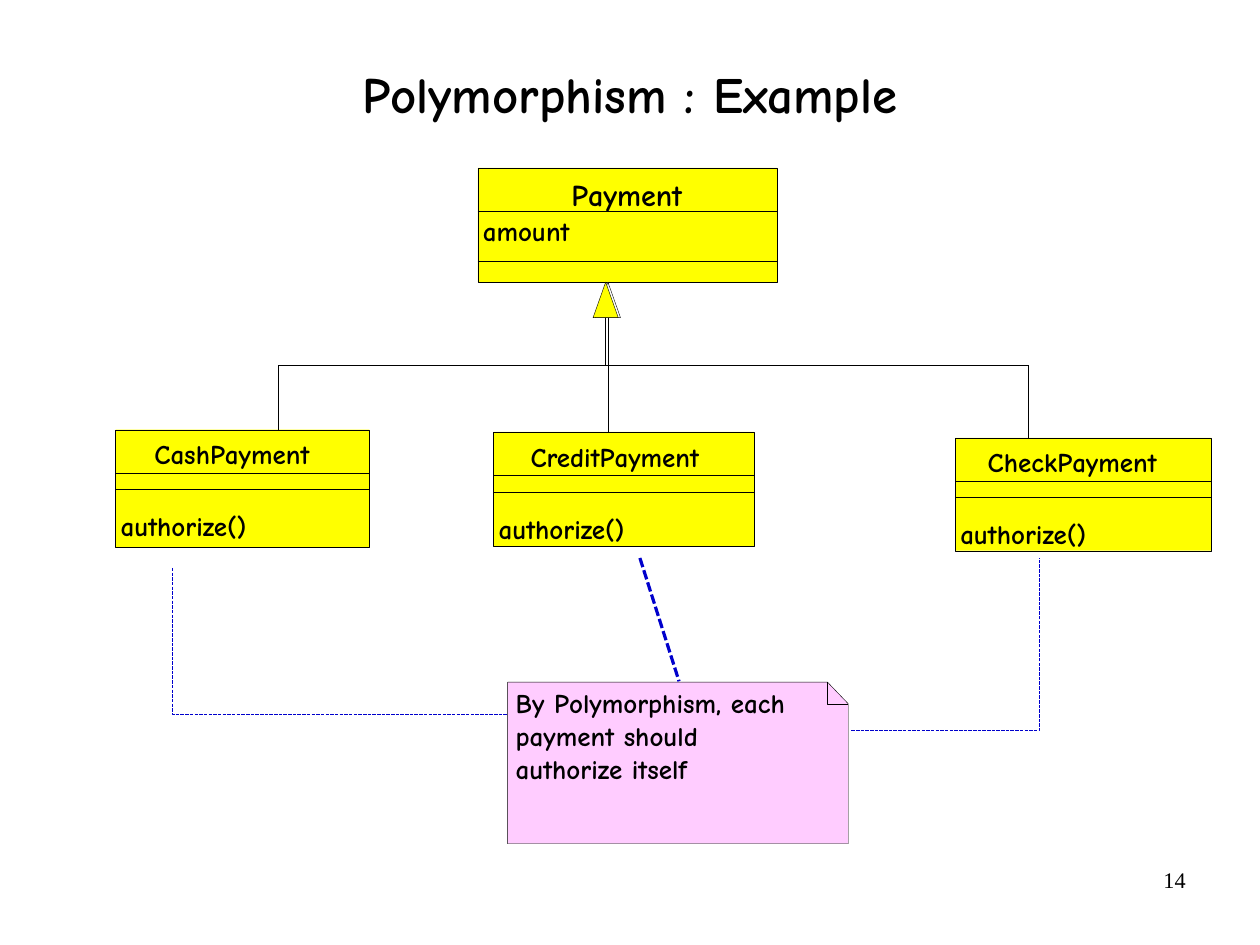
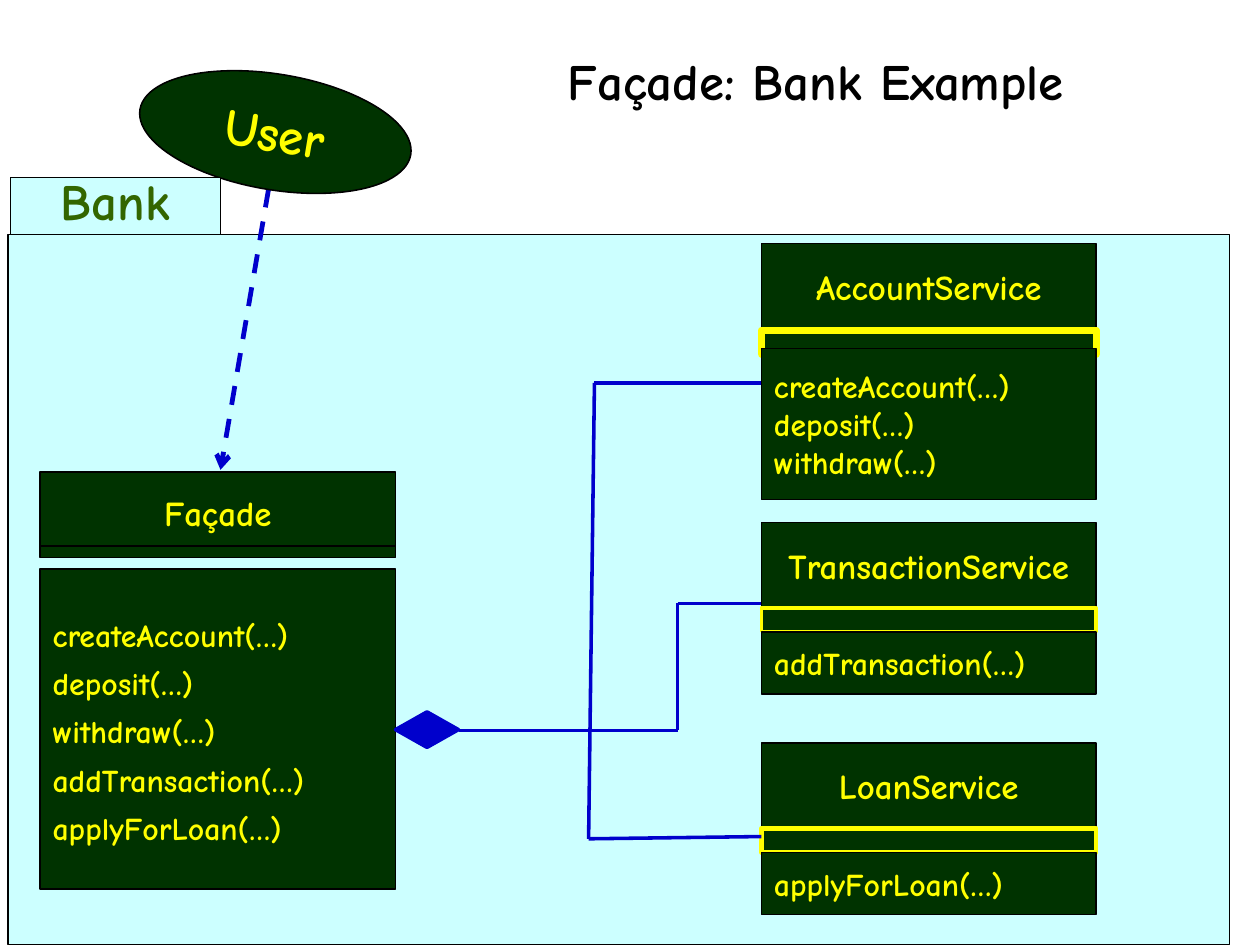
"""Build two UML slides: a polymorphism example and a façade example."""
import itertools
from dataclasses import dataclass

import pptx
import pptx.dml.color
import pptx.enum.dml
import pptx.enum.shapes
import pptx.enum.text
import pptx.oxml.ns
import pptx.util
from lxml import etree

Cm = pptx.util.Cm
Pt = pptx.util.Pt
Shapes = pptx.enum.shapes.MSO_SHAPE
Align = pptx.enum.text.PP_ALIGN
Anchor = pptx.enum.text.MSO_ANCHOR
Dash = pptx.enum.dml.MSO_LINE
Point = tuple[float, float]
Area = tuple[float, float, float, float]

COLORS = {
    "black": "000000",
    "white": "FFFFFF",
    "yellow": "FFFF00",
    "pink": "FFCCFF",
    "cyan": "CCFFFF",
    "blue": "0000CC",
    "dark": "003300",
    "green": "336600",
}
FONT = "Comic Neue"
NUMBER_FONT = "Times New Roman"
HAIRLINE = 0.25
LINK_WIDTH = 2.25
SHAPE_INSETS = (0.28, 0.15)
NO_INSETS = (0, 0)


@dataclass
class TextStyle:
    size: float
    color: str = "black"
    font: str = FONT
    bold: bool = True
    align: Align = Align.LEFT
    anchor: Anchor = Anchor.MIDDLE
    spacing: float | pptx.util.Length | None = None
    gap: float = 0


@dataclass
class UmlClass:
    area: Area
    name: str
    name_indent: float
    member: str
    member_top: float
    second_divider: float
    name_size: float = 17


@dataclass
class Service:
    area: Area
    name: str
    members: list[str]
    band_top: float
    band_height: float
    body_top: float
    body_height: float
    band_color: str = "yellow"
    band_width: float = 1
    spacing: float | None = None
    gap: float = 0


TITLE = TextStyle(32, align=Align.CENTER, spacing=0.88)
LABEL = TextStyle(17, anchor=Anchor.TOP)

UML_CLASSES = [
    UmlClass((10.97, 9.6, 5.79, 2.54), "CreditPayment", 0.82, "authorize()", 1.78, 1.33),
    UmlClass((21.23, 9.73, 5.69, 2.51), "CheckPayment", 0.72, "authorize()", 1.78, 1.33),
    UmlClass((2.57, 9.55, 5.64, 2.62), "CashPayment", 0.86, "authorize()", 1.78, 1.33),
    UmlClass((10.62, 3.73, 6.65, 2.54), "Payment", 2.08, "amount", 1.04, 2.07, 19),
]

SERVICES = [
    Service((0.89, 10.49, 7.9, 1.8), "Façade",
            ["createAccount(…)", "deposit(…)", "withdraw(…)", "addTransaction(…)", "applyForLoan(…)"],
            1.65, 0.25, 2.16, 7.11, "black", 1, 1.1, 2),
    Service((16.92, 5.41, 7.44, 1.9), "AccountService",
            ["createAccount(…)", "deposit(…)", "withdraw(…)"], 1.93, 0.53, 2.34, 3.35, band_width=4.5),
    Service((16.92, 11.61, 7.44, 1.9), "TransactionService",
            ["addTransaction(…)"], 1.9, 0.53, 2.44, 1.37, band_width=2.25),
    Service((16.92, 16.51, 7.44, 1.9), "LoanService",
            ["applyForLoan(…)"], 1.9, 0.53, 2.44, 1.37, band_width=3),
]


def rgb(name: str) -> pptx.dml.color.RGBColor:
    return pptx.dml.color.RGBColor.from_string(COLORS[name])


def write(shape, lines: list[str], style: TextStyle, insets: Point = SHAPE_INSETS) -> None:
    frame = shape.text_frame
    frame.text = "\n".join(lines)
    frame.word_wrap = True
    frame.auto_size = pptx.enum.text.MSO_AUTO_SIZE.NONE
    frame.vertical_anchor = style.anchor
    frame.margin_left = frame.margin_right = Cm(insets[0])
    frame.margin_top = frame.margin_bottom = Cm(insets[1])
    for index, para in enumerate(frame.paragraphs):
        para.alignment = style.align
        para.line_spacing = style.spacing
        para.space_before = Pt(style.gap if index else 0)
        para.space_after = Pt(style.gap)
        for span in para.runs:
            span.font.name = style.font
            span.font.size = Pt(style.size)
            span.font.bold = style.bold
            span.font.color.rgb = rgb(style.color)


def paint(shape, fill: str | None, line: str, width: float):
    shape.shadow.inherit = False
    if fill:
        shape.fill.solid()
        shape.fill.fore_color.rgb = rgb(fill)
    else:
        shape.fill.background()
    shape.line.color.rgb = rgb(line)
    shape.line.width = Pt(width)
    return shape


def add_box(page, area: Area, fill: str, line: str = "black", width: float = 1, kind: Shapes = Shapes.RECTANGLE):
    return paint(page.shapes.add_shape(kind, *map(Cm, area)), fill, line, width)


def add_label(page, area: Area, lines: list[str], style: TextStyle, insets: Point = NO_INSETS) -> None:
    write(page.shapes.add_textbox(*map(Cm, area)), lines, style, insets)


def add_outline(page, points: list[Point], fill: str | None = None, line: str = "black",
                width: float = HAIRLINE, close: bool = False):
    start, *rest = [(Cm(x), Cm(y)) for x, y in points]
    builder = page.shapes.build_freeform(*start, scale=1.0)
    builder.add_line_segments(rest, close=close)
    return paint(builder.convert_to_shape(), fill, line, width)


def add_lines(page, points: list[Point], color: str = "black", width: float = HAIRLINE,
              dash: Dash | None = None, arrow: bool = False) -> None:
    for start, end in itertools.pairwise(points):
        connector = page.shapes.add_connector(
            pptx.enum.shapes.MSO_CONNECTOR.STRAIGHT, *map(Cm, start + end))
        connector.line.color.rgb = rgb(color)
        connector.line.width = Pt(width)
        if dash:
            connector.line.dash_style = dash
        properties = connector.element.spPr
        if arrow:
            stroke = properties.find(pptx.oxml.ns.qn("a:ln"))
            etree.SubElement(stroke, pptx.oxml.ns.qn("a:tailEnd"), type="arrow")
        etree.SubElement(properties, pptx.oxml.ns.qn("a:effectLst"))


def add_page(deck, title: str, area: Area):
    page = deck.slides.add_slide(deck.slide_layouts[5])
    heading = page.shapes.title
    heading.left, heading.top, heading.width, heading.height = map(Cm, area)
    write(heading, [title], TITLE, NO_INSETS)
    return page


def add_uml_class(page, item: UmlClass) -> None:
    left, top, width, height = item.area
    add_box(page, item.area, "yellow", width=HAIRLINE)
    name_style = TextStyle(item.name_size, anchor=Anchor.TOP)
    add_label(page, (left + item.name_indent, top + 0.18, width - item.name_indent, 0.75),
              [item.name], name_style)
    for offset in (0.97, item.second_divider):
        add_lines(page, [(left, top + offset), (left + width, top + offset)])
    add_label(page, (left + 0.11, top + item.member_top, width - 0.2, 0.71), [item.member], LABEL)


def add_service(page, item: Service) -> None:
    left, top, width, _ = item.area
    write(add_box(page, item.area, "dark"), [item.name], TextStyle(22, "yellow", align=Align.CENTER))
    add_box(page, (left, top + item.band_top, width, item.band_height), "dark",
            item.band_color, item.band_width)
    body = add_box(page, (left, top + item.body_top, width, item.body_height), "dark")
    write(body, item.members, TextStyle(20, "yellow", spacing=item.spacing, gap=item.gap))


def add_note(page) -> None:
    left, top, fold_x, fold_y, right, bottom = 11.28, 15.16, 18.39, 15.64, 18.85, 18.75
    add_outline(page, [(left, top), (fold_x, top), (right, fold_y), (right, bottom), (left, bottom)],
                "pink", close=True)
    add_outline(page, [(fold_x, top), (fold_x, fold_y), (right, fold_y)])
    add_label(page, (11.46, 15.24, 7, 2.2),
              ["By Polymorphism, each", "payment should", "authorize itself"],
              TextStyle(17, anchor=Anchor.TOP, spacing=Pt(20.9)))


def build_polymorphism(deck) -> None:
    page = add_page(deck, "Polymorphism : Example", (2.06, 0.99, 23.88, 2.34))
    add_label(page, (20.07, 19.13, 6.53, 1.45), ["14"],
              TextStyle(14, font=NUMBER_FONT, bold=False, align=Align.RIGHT, anchor=Anchor.TOP),
              (0.25, 0.13))
    for item in UML_CLASSES:
        add_uml_class(page, item)
    add_note(page)
    add_lines(page, [(14.22, 12.4), (15.09, 15.14)], "blue", 0, Dash.SQUARE_DOT)
    for points in ([(18.92, 16.23), (23.11, 16.23), (23.11, 12.4)],
                   [(3.84, 12.62), (3.84, 15.88), (11.28, 15.88)]):
        add_outline(page, points, line="blue", width=0).line.dash_style = Dash.SQUARE_DOT
    bar_y, tip_y, base_y = 8.12, 6.27, 7.06
    for x, end_y, fill in ((13.51, 9.6, "white"), (13.46, bar_y, "yellow")):
        add_lines(page, [(x, end_y), (x, tip_y)])
        add_outline(page, [(x, tip_y), (x + 0.28, base_y), (x - 0.28, base_y)], fill, close=True)
    add_lines(page, [(6.18, 9.55), (6.18, bar_y), (22.86, bar_y), (22.86, 9.73)])


def build_facade(deck) -> None:
    page = add_page(deck, "Façade: Bank Example", (9.98, 0.94, 16.31, 1.85))
    package = add_box(page, (0.18, 5.21, 27.15, 15.79), "cyan", width=0.75)
    page.shapes.title.element.addprevious(package.element)
    for item in SERVICES:
        add_service(page, item)
    add_lines(page, [(5.97, 4.19), (4.9, 10.44)], "blue", 3, Dash.DASH, arrow=True)
    user = add_box(page, (3.07, 1.65, 6.1, 2.57), "dark", kind=Shapes.OVAL)
    user.rotation = 9.5
    write(user, ["User"], TextStyle(32, "yellow", align=Align.CENTER))
    add_box(page, (8.79, 15.82, 1.4, 0.79), "blue", "blue", LINK_WIDTH, Shapes.DIAMOND)
    for points in ([(10.19, 16.23), (15.06, 16.23), (15.06, 13.41), (16.92, 13.41)],
                   [(16.92, 8.51), (13.21, 8.51), (13.08, 18.64), (16.92, 18.59)]):
        add_lines(page, points, "blue", LINK_WIDTH)
    tab = add_box(page, (0.23, 3.94, 4.67, 1.27), "cyan", width=0.75)
    write(tab, ["Bank"], TextStyle(32, "green", align=Align.CENTER, spacing=0.8), (0.25, 0.13))


def main() -> None:
    deck = pptx.Presentation()
    deck.slide_width, deck.slide_height = Cm(28), Cm(21)
    build_polymorphism(deck)
    build_facade(deck)
    deck.save("out.pptx")


if __name__ == "__main__":
    main()
